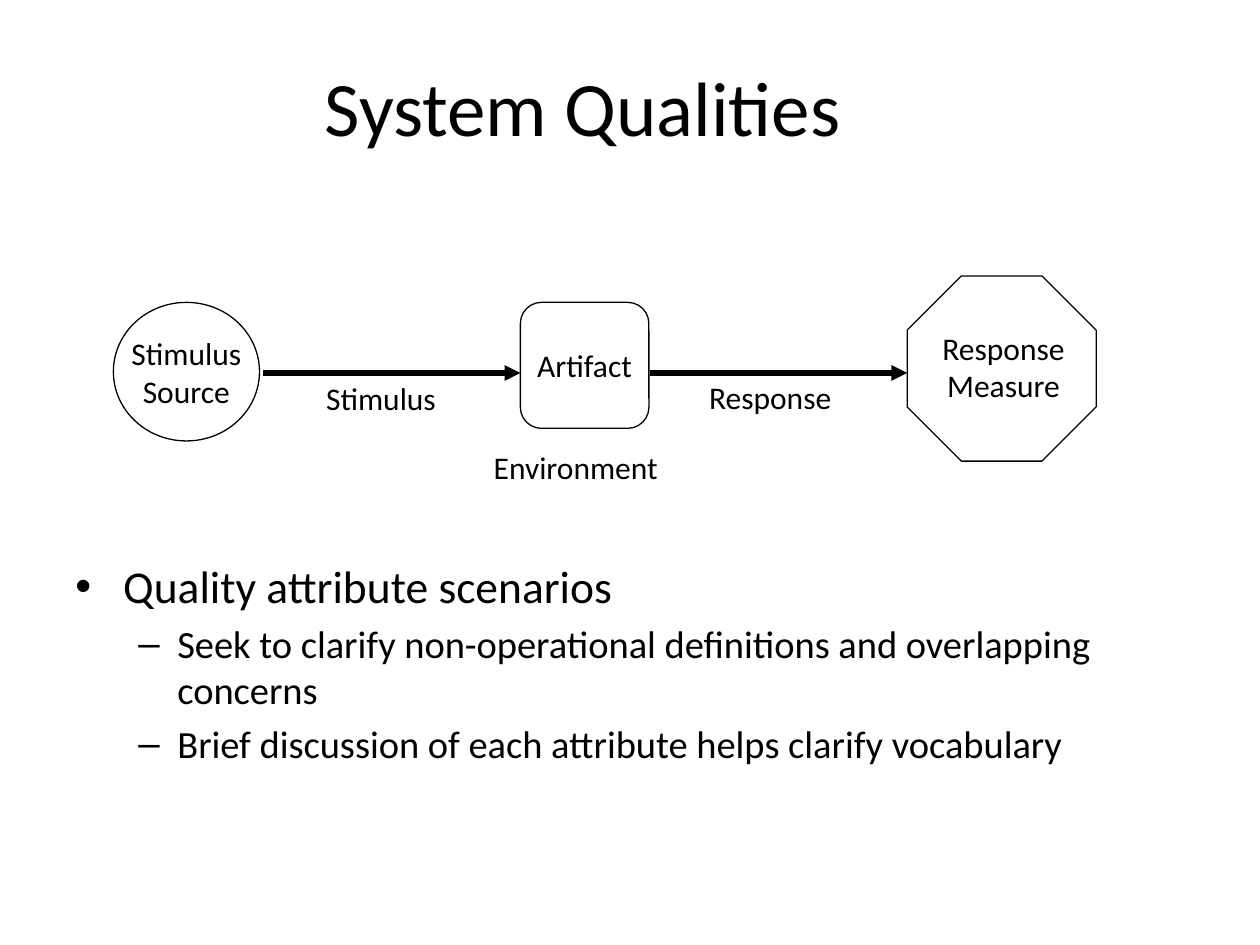
from dataclasses import dataclass

from lxml.etree import SubElement
from pptx import Presentation
from pptx.dml.color import RGBColor
from pptx.enum.shapes import MSO_CONNECTOR, MSO_SHAPE as Preset
from pptx.enum.text import MSO_ANCHOR as Anchor, PP_ALIGN as Align
from pptx.oxml.ns import qn
from pptx.util import Inches, Pt

FONT = "Calibri"
BLACK = "000000"
FLOW_Y = 2.96


@dataclass
class Node:
    preset: Preset
    box: tuple[float, float, float, float]
    lines: tuple[str, ...] = ()
    adjustment: float | None = None


@dataclass
class Label:
    lines: tuple[str, ...]
    box: tuple[float, float, float, float]
    align: Align = Align.LEFT


@dataclass
class Point:
    text: str
    size: float
    bullet: str
    margin: float
    hanging: float
    level: int = 0


NODES = [
    Node(Preset.ROUNDED_RECTANGLE, (4.13, 2.4, 1.02, 1), ("Artifact",), 0.167),
    Node(Preset.OCTAGON, (7.2, 2.19, 1.5, 1.47), adjustment=0.293),
    Node(Preset.OVAL, (0.9, 2.4, 1.16, 1.1), ("Stimulus", "Source")),
]
LABELS = [
    Label(("Environment",), (3.82, 3.51, 1.6, 0.4)),
    Label(("Response",), (5.53, 2.95, 1.33, 0.4)),
    Label(("Stimulus",), (2.49, 2.96, 1.16, 0.4)),
    Label(("Response", "Measure"), (7.3, 2.56, 1.33, 0.7), Align.CENTER),
]
ARROWS = [(5.16, 7.2), (2.09, 4.13)]
POINTS = [
    Point("Quality attribute scenarios", 26, "•", 0.38, 0.38),
    Point("Seek to clarify non-operational definitions and overlapping concerns",
          22, "–", 0.81, 0.31, 1),
    Point("Brief discussion of each attribute helps clarify vocabulary",
          22, "–", 0.81, 0.31, 1),
]


def color(code: str) -> RGBColor:
    return RGBColor.from_string(code)


def inches(box) -> list:
    return [Inches(value) for value in box]


def write(paragraph, text: str, *, size: float = 18, align=Align.LEFT, before: float = 0):
    paragraph.alignment = align
    paragraph.space_before = Pt(before)
    run = paragraph.add_run()
    run.text = text
    run.font.size = Pt(size)
    run.font.name = FONT
    run.font.color.rgb = color(BLACK)


def fill_frame(frame, lines, *, wrap: bool = True, anchor=Anchor.TOP, **text_format):
    frame.word_wrap = wrap
    frame.vertical_anchor = anchor
    for index, line in enumerate(lines):
        paragraph = frame.add_paragraph() if index else frame.paragraphs[0]
        write(paragraph, line, **text_format)


def draw_node(slide, node: Node):
    outline = slide.shapes.add_shape(node.preset, *inches(node.box))
    outline.shadow.inherit = False
    outline.fill.background()
    outline.line.color.rgb = color(BLACK)
    outline.line.width = Pt(0.75)
    if node.adjustment is not None:
        outline.adjustments[0] = node.adjustment
    if node.lines:
        fill_frame(outline.text_frame, node.lines, wrap=False,
                   anchor=Anchor.MIDDLE, align=Align.CENTER)


def draw_label(slide, label: Label):
    caption = slide.shapes.add_textbox(*inches(label.box))
    fill_frame(caption.text_frame, label.lines, align=label.align)


def draw_arrow(slide, start: float, end: float):
    arrow = slide.shapes.add_connector(
        MSO_CONNECTOR.STRAIGHT, *inches((start, FLOW_Y, end, FLOW_Y)))
    arrow.line.color.rgb = color(BLACK)
    arrow.line.width = Pt(3)
    SubElement(arrow.line._get_or_add_ln(), qn("a:tailEnd"), type="triangle")
    SubElement(arrow._element.spPr, qn("a:effectLst"))


def draw_points(slide, points: list[Point]):
    frame = slide.shapes.add_textbox(*inches((0.5, 4.38, 9, 2.33))).text_frame
    frame.word_wrap = True
    for index, point in enumerate(points):
        paragraph = frame.add_paragraph() if index else frame.paragraphs[0]
        paragraph.level = point.level
        properties = paragraph._p.get_or_add_pPr()
        properties.set("marL", str(Inches(point.margin)))
        properties.set("indent", str(-Inches(point.hanging)))
        SubElement(properties, qn("a:buFont"), typeface="Arial")
        SubElement(properties, qn("a:buChar"), char=point.bullet)
        write(paragraph, point.text, size=point.size,
              before=point.size * 0.2 if index else 0)


def main():
    deck = Presentation()
    deck.slide_width, deck.slide_height = Inches(10), Inches(7.5)
    slide = deck.slides.add_slide(deck.slide_layouts[6])
    title = slide.shapes.add_textbox(*inches((0.5, 0.13, 8.25, 1.42)))
    fill_frame(title.text_frame, ("System Qualities",), size=44,
               anchor=Anchor.MIDDLE, align=Align.CENTER)
    draw_points(slide, POINTS)
    for node in NODES:
        draw_node(slide, node)
    for start, end in ARROWS:
        draw_arrow(slide, start, end)
    for label in LABELS:
        draw_label(slide, label)
    deck.save("out.pptx")


if __name__ == "__main__":
    main()
